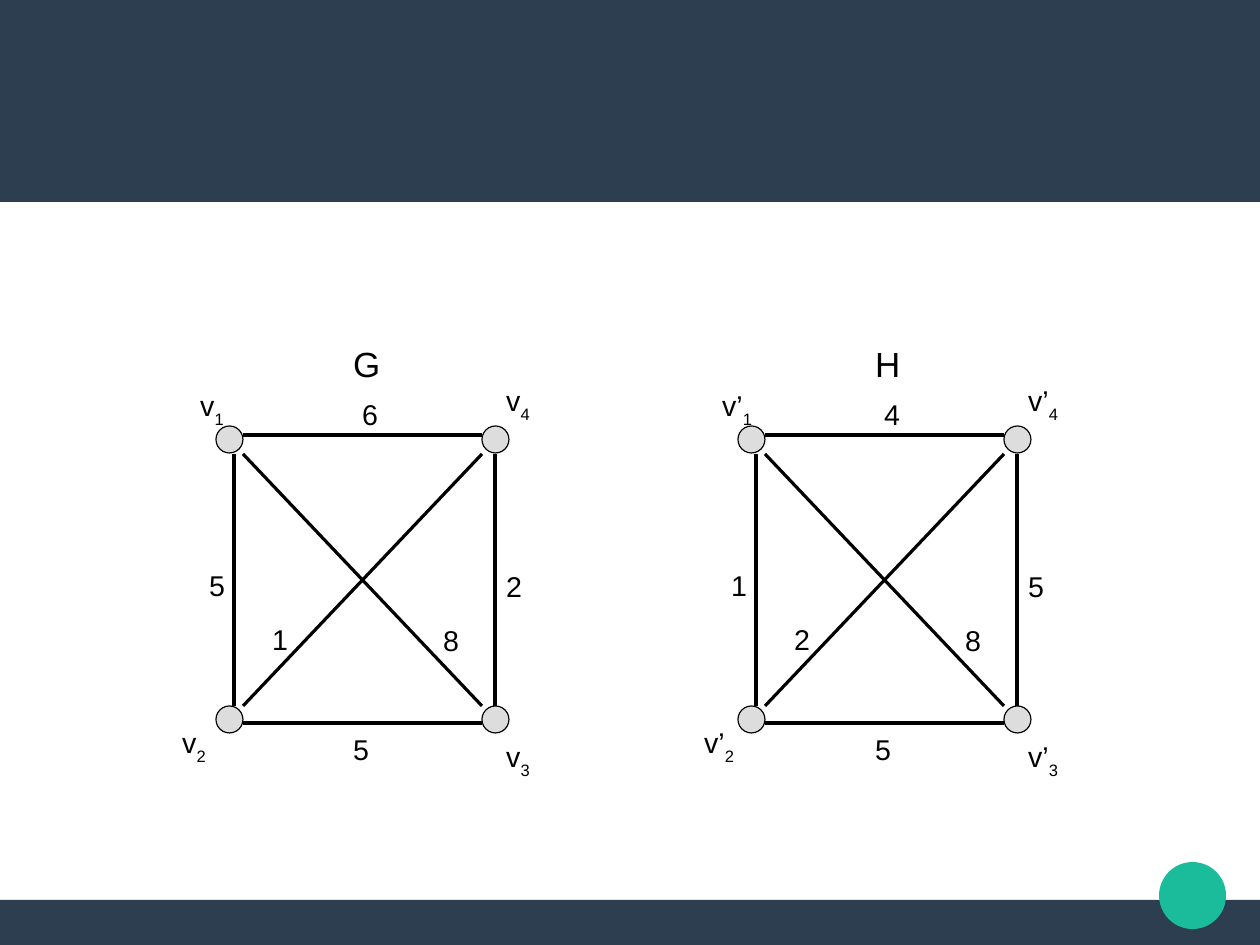
from dataclasses import dataclass

from lxml import etree
from pptx import Presentation
from pptx.dml.color import RGBColor
from pptx.enum.shapes import MSO_CONNECTOR, MSO_SHAPE
from pptx.oxml.ns import qn
from pptx.util import Pt

RECTANGLE = MSO_SHAPE.RECTANGLE
ELLIPSE = MSO_SHAPE.OVAL
STRAIGHT = MSO_CONNECTOR.STRAIGHT

EMU_PER_PX = 8000
WIDTH, HEIGHT = 1260, 945
NODE_SIZE = 27
LEFT, RIGHT = 216, 482
TOP, BOTTOM = 426, 706
GRAPH_STEP = 522


@dataclass(frozen=True)
class Theme:
    band: RGBColor = RGBColor.from_string("2C3E50")
    accent: RGBColor = RGBColor.from_string("1ABC9C")
    node: RGBColor = RGBColor.from_string("DDDDDD")
    ink: RGBColor = RGBColor.from_string("000000")
    font: str = "Arial"
    label_size: int = 18
    name_size: int = 22
    hairline: int = 0


THEME = Theme()

NODES = [(RIGHT, TOP), (RIGHT, BOTTOM), (LEFT, TOP), (LEFT, BOTTOM)]

INNER_LEFT, INNER_TOP = LEFT + NODE_SIZE, TOP + NODE_SIZE + 1
EDGES = [
    (234, INNER_TOP, 234, BOTTOM),
    (INNER_LEFT, 435, RIGHT, 435),
    (495, INNER_TOP, 495, BOTTOM),
    (RIGHT, 723, INNER_LEFT, 723),
    (RIGHT, INNER_TOP, INNER_LEFT, BOTTOM),
    (INNER_LEFT, INNER_TOP, RIGHT, BOTTOM),
]

# Label places: vertex index to corner, and edge side to corner
VERTEX_LABELS = {"1": (189, 382), "4": (495, 377), "2": (171, 719), "3": (495, 733)}
WEIGHT_LABELS = {
    "top": (351, 391),
    "bottom": (342, 726),
    "left": (198, 562),
    "right": (495, 563),
    "falling": (432, 617),
    "rising": (261, 616),
}

GRAPHS = [
    ("G", "v", dict(top="6", bottom="5", left="5", right="2", falling="8", rising="1")),
    ("H", "v’", dict(top="4", bottom="5", left="1", right="5", falling="8", rising="2")),
]


def px(*lengths):
    return [length * EMU_PER_PX for length in lengths]


def add_filled(slide, preset, box, fill, line=None):
    shape = slide.shapes.add_shape(preset, *px(*box))
    shape.shadow.inherit = False
    shape.fill.solid()
    shape.fill.fore_color.rgb = fill
    if line is None:
        shape.line.fill.background()
    else:
        shape.line.color.rgb = line
        shape.line.width = Pt(THEME.hairline)


def add_edge(slide, ends):
    edge = slide.shapes.add_connector(STRAIGHT, *px(*ends))
    edge.line.color.rgb = THEME.ink
    edge.line.width = Pt(THEME.hairline)
    etree.SubElement(edge._element.spPr, qn("a:effectLst"))


def add_label(slide, text, box, *, size=THEME.label_size, subscript=""):
    frame = slide.shapes.add_textbox(*px(*box)).text_frame
    frame.word_wrap = True
    paragraph = frame.paragraphs[0]
    for part in filter(None, (text, subscript)):
        run = paragraph.add_run()
        run.text = part
        run.font.name = THEME.font
        run.font.size = Pt(size)
        run.font.color.rgb = THEME.ink
    if subscript:
        run.font._element.set("baseline", "-33000")


def add_graph(slide, dx, name, vertex, weights):
    """Draw a complete weighted graph on four vertices, moved right by dx."""
    for x, y in NODES:
        add_filled(slide, ELLIPSE, (x + dx, y, NODE_SIZE, NODE_SIZE), THEME.node, THEME.ink)
    for x1, y1, x2, y2 in EDGES:
        add_edge(slide, (x1 + dx, y1, x2 + dx, y2))
    for index, (x, y) in VERTEX_LABELS.items():
        add_label(slide, vertex, (x + dx, y, 54, 50), subscript=index)
    for side, (x, y) in WEIGHT_LABELS.items():
        add_label(slide, weights[side], (x + dx, y, 35, 43))
    add_label(slide, name, (342 + dx, 337, 45, 50), size=THEME.name_size)


def main():
    deck = Presentation()
    deck.slide_width, deck.slide_height = px(WIDTH, HEIGHT)
    slide = deck.slides.add_slide(deck.slide_layouts[6])

    add_filled(slide, RECTANGLE, (0, 900, WIDTH, 45), THEME.band)
    add_filled(slide, RECTANGLE, (0, 0, WIDTH, 202), THEME.band)
    add_filled(slide, ELLIPSE, (1159, 862, 67, 67), THEME.accent)

    for position, (name, vertex, weights) in enumerate(GRAPHS):
        add_graph(slide, position * GRAPH_STEP, name, vertex, weights)

    deck.save("out.pptx")


if __name__ == "__main__":
    main()
